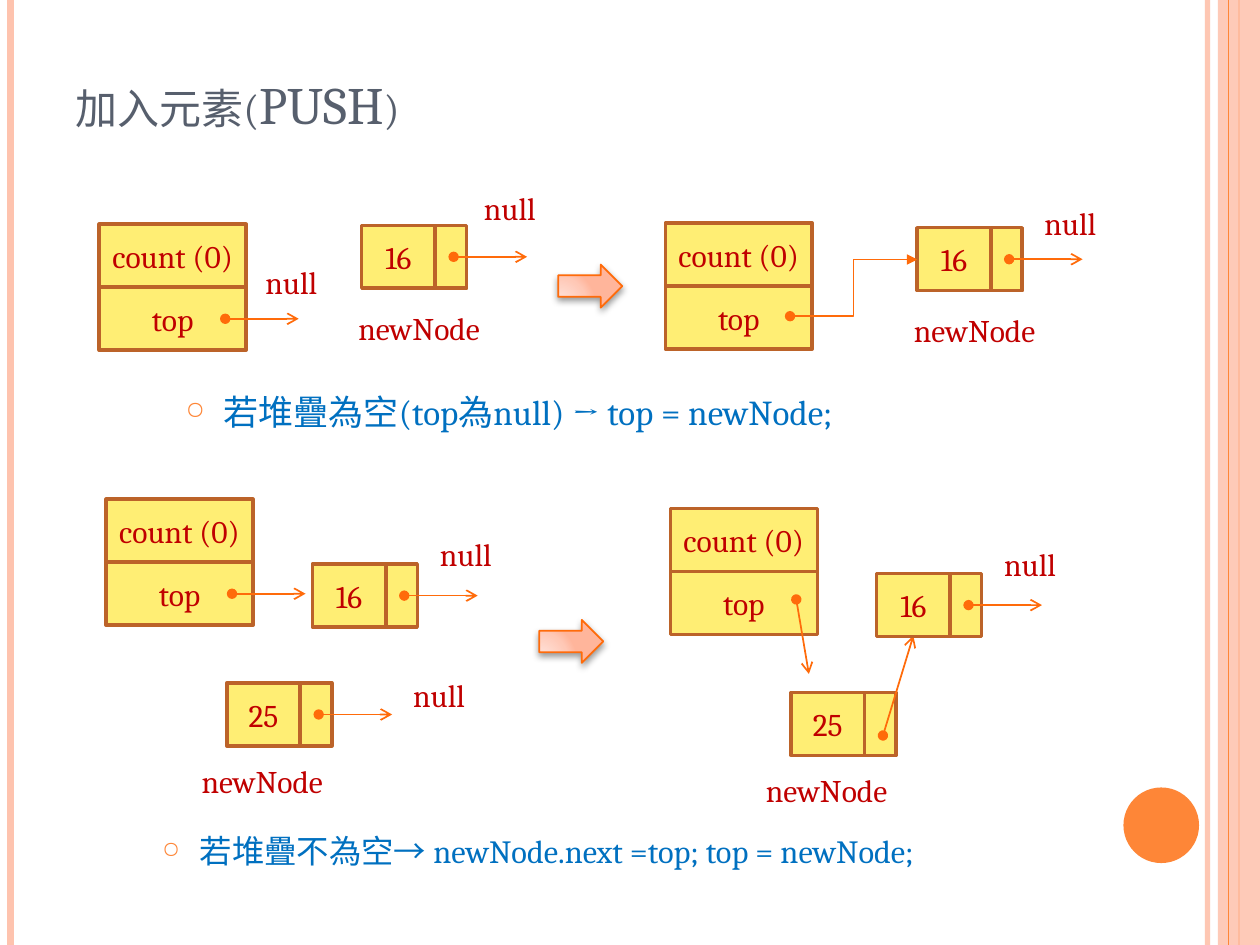
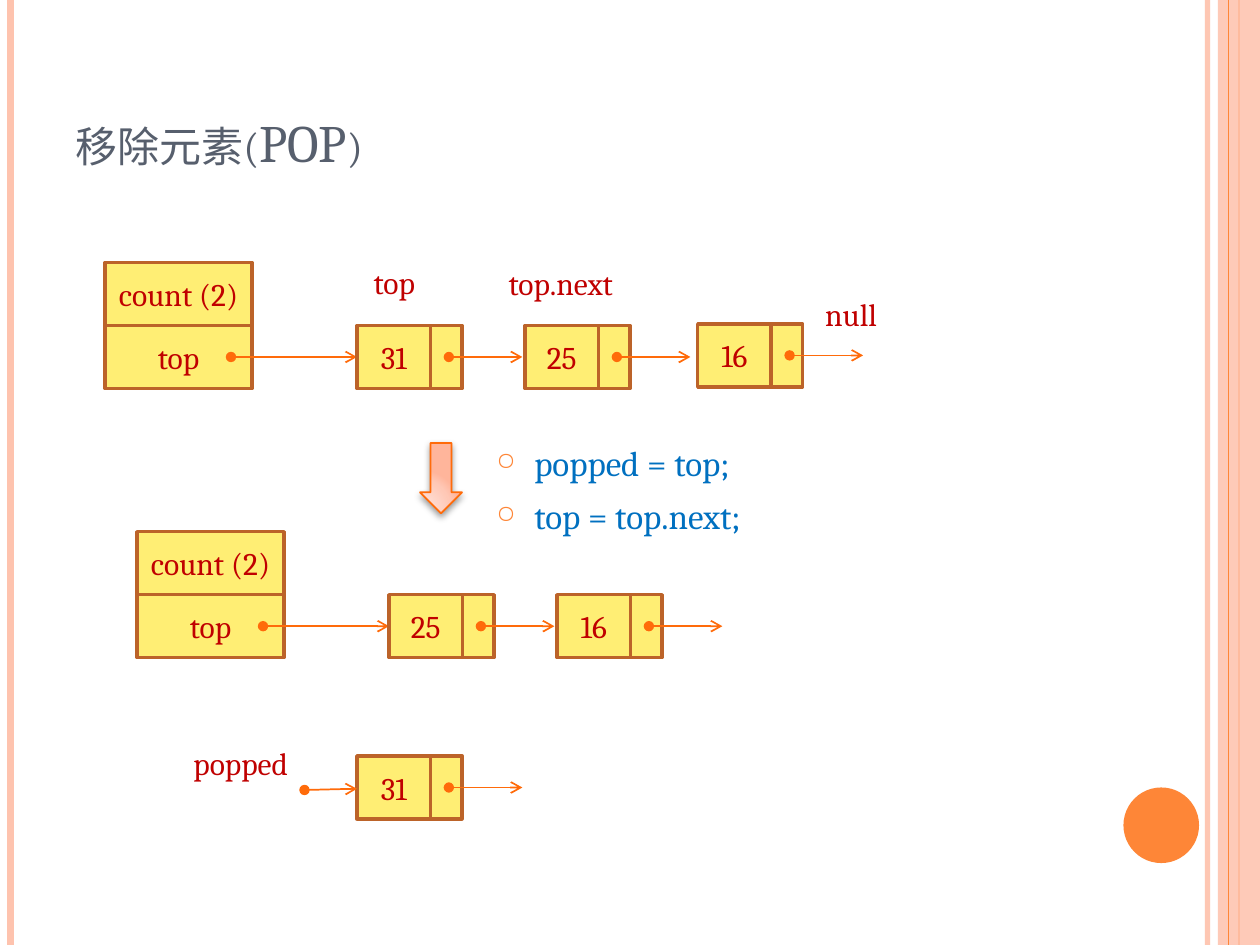
import pptx
import pptx.util
import pptx.oxml
import pptx.oxml.ns
import pptx.dml.color
import pptx.enum.shapes
import pptx.enum.text
from dataclasses import dataclass

SHAPE = pptx.enum.shapes.MSO_SHAPE
LINK = pptx.enum.shapes.MSO_CONNECTOR
ALIGN = pptx.enum.text.PP_ALIGN
ANCHOR = pptx.enum.text.MSO_ANCHOR
FIT = pptx.enum.text.MSO_AUTO_SIZE
COLS, ROWS = 120, 90
CELL = 914400 // 12


@dataclass(frozen=True)
class Theme:
    """Hold the colours, font and type sizes of the deck."""
    font: str = "Cambria"
    title: str = "575F6D"
    code: str = "0070C0"
    label: str = "C00000"
    band: str = "FEC3AE"
    accent: str = "FE8637"
    box: str = "FFEE74"
    edge: str = "BC6329"
    wire: str = "FF6B0A"
    glow: tuple = ((0, "FFDED5"), (30, "FFDBD0"), (75, "FFC8B6"), (100, "FFB59B"))
    head: float = 30
    body: float = 20
    small: float = 18.5
    tag: float = 18


T = Theme()


def cell(n):
    """Turn grid cells into a length."""
    return pptx.util.Emu(round(n * CELL))


def move(at, dx, dy):
    """Shift a grid point."""
    return at[0] + dx, at[1] + dy


def rgb(tint):
    """Make a colour from its hex code."""
    return pptx.dml.color.RGBColor.from_string(tint)


def style(obj, **vals):
    """Set each attribute on an object."""
    for key, val in vals.items():
        setattr(obj, key, val)


def node_xml(text):
    """Build a DrawingML element from its markup."""
    tag, mark = text[1:].split(maxsplit=1) if " " in text.split(">")[0] else (text[1:].split(">")[0], "")
    lead = f"<{tag} {pptx.oxml.ns.nsdecls('a')} "
    return pptx.oxml.parse_xml(lead + (mark or text[1 + len(tag):]))


def fade(fill, pct):
    """Make a solid fill partly clear."""
    tint = fill._xPr.find(".//" + pptx.oxml.ns.qn("a:srgbClr"))
    tint.append(node_xml(f'<a:alpha val="{pct * 1000}"/>'))


def write(shape, lines, tint, size, **frame):
    """Fill a text frame and return its paragraphs."""
    style(shape.text_frame, **{"word_wrap": True, **frame})
    shape.text_frame.text = "\n".join(lines)
    for para in shape.text_frame.paragraphs:
        for run in para.runs:
            style(run.font, name=T.font, size=pptx.util.Pt(size))
            run.font.color.rgb = rgb(tint)
    return shape.text_frame.paragraphs


def block(slide, at, size, fill, edge=None, width=2, kind=SHAPE.RECTANGLE):
    """Draw a flat shape on the grid."""
    shape = slide.shapes.add_shape(kind, *map(cell, (*at, *size)))
    shape.shadow.inherit = False
    shape.fill.solid()
    shape.fill.fore_color.rgb = rgb(fill)
    if edge:
        shape.line.color.rgb = rgb(edge)
        shape.line.width = pptx.util.Pt(width)
    else:
        shape.line.fill.background()
    return shape


def wire(slide, start, end, tint=T.wire, width=1, kind=LINK.STRAIGHT, tail=None):
    """Draw a line, with a dot and a head when a tail is named."""
    line = slide.shapes.add_connector(kind, *map(cell, (*start, *end)))
    line.line.color.rgb = rgb(tint)
    line.line.width = pptx.util.Pt(width)
    if tail:
        for tag, form in (("headEnd", "oval"), ("tailEnd", tail)):
            line.line._ln.append(node_xml(f'<a:{tag} type="{form}"/>'))
    line._element.spPr.append(node_xml("<a:effectLst/>".replace("/>", " />")))
    return line


def link(slide, at, span):
    """Draw a pointer from a point along a span."""
    wire(slide, at, move(at, *span), tail="arrow")


def cellbox(slide, at, width, text="", pad=1.2):
    """Draw one memory cell."""
    shape = block(slide, at, (width, 6), T.box, T.edge)
    if text:
        paras = write(shape, [text], T.label, T.tag, vertical_anchor=ANCHOR.MIDDLE,
                      margin_left=cell(pad), margin_right=cell(pad))
        paras[0].alignment = ALIGN.CENTER


def stack(slide, at, count, span=(7, 0), drop=9):
    """Draw the stack header and its top pointer."""
    cellbox(slide, at, 14, f"count ({count})", 0.5)
    cellbox(slide, move(at, 0, 6), 14, "top")
    if span:
        link(slide, move(at, 12, drop), span)


def node(slide, at, value, span=(7, 0), drop=3):
    """Draw a list node and its next pointer."""
    cellbox(slide, at, 7, value)
    cellbox(slide, move(at, 7, 0), 3)
    link(slide, move(at, 8.75, drop), span)


def label(slide, at, text, width=10):
    """Write a short name beside a part."""
    shape = slide.shapes.add_textbox(*map(cell, (*at, width, 4.8)))
    write(shape, [text], T.label, T.tag, auto_size=FIT.SHAPE_TO_FIT_TEXT)


def steps(slide, at, size, lines, type_size=T.body):
    """Write code steps with ring bullets."""
    shape = slide.shapes.add_textbox(*map(cell, (*at, *size)))
    for para in write(shape, lines, T.code, type_size):
        para.space_before = pptx.util.Pt(6)
        props = para._p.get_or_add_pPr()
        props.set("marL", str(cell(3.6)))
        props.set("indent", str(-cell(3.6)))
        for mark in (f'<a:buClr ><a:srgbClr val="{T.accent}"/></a:buClr>',
                     '<a:buSzPct val="70000"/>', '<a:buChar char="○"/>'):
            props.append(node_xml(mark))


def pointer(slide, at, size, kind=SHAPE.RIGHT_ARROW):
    """Draw a glowing block arrow."""
    shape = block(slide, at, size, T.band, T.wire, 1, kind)
    stops = "".join(f'<a:gs pos="{pos * 1000}"><a:srgbClr val="{tint}"/></a:gs>'
                    for pos, tint in T.glow)
    props = shape._element.spPr
    props.replace(props.find(pptx.oxml.ns.qn("a:solidFill")), node_xml(
        f'<a:gradFill rotWithShape="1"><a:gsLst>{stops}</a:gsLst><a:path path="circle">'
        '<a:fillToRect l="5000" t="100000" r="120000" b="10000"/></a:path></a:gradFill>'))
    props.find(pptx.oxml.ns.qn("a:effectLst")).append(node_xml(
        '<a:outerShdw blurRad="50800" dist="25400" dir="5400000" rotWithShape="0">'
        '<a:srgbClr val="000000"><a:alpha val="40000"/></a:srgbClr></a:outerShdw>'))


def page(deck, title, height):
    """Add a slide with its bands, disc and title."""
    slide = deck.slides.add_slide(deck.slide_layouts[6])
    for x, tint, width in ((115, T.band, 3), (1, T.band, 4.5), (118, T.accent, 1.5)):
        line = wire(slide, (x, 0), (x, ROWS), tint, width)
        if x == 115:
            fade(line.line.fill, 93)
    fade(block(slide, (116, 0), (4, ROWS), T.band).fill, 87)
    wire(slide, (117, 0), (117, ROWS), T.accent, 0.75)
    block(slide, (107, 75), (7.2, 7.2), T.accent, kind=SHAPE.OVAL)
    shape = slide.shapes.add_textbox(*map(cell, (6, 3.6, 98, height)))
    para = write(shape, [title], T.title, T.head, vertical_anchor=ANCHOR.BOTTOM)[0]
    para.runs[0].font._element.set("cap", "small")
    return slide


def fresh(slide, at, gap, null, span=(7, 0)):
    """Draw an empty stack beside a new node."""
    spot = move(at, *gap)
    stack(slide, at, 0, span)
    node(slide, spot, "16")
    label(slide, move(spot, -1.5, 7.35), "newNode", 17)
    label(slide, move(spot, *null), "null")


def filled(slide, at, top, fresh_link):
    """Draw a stack holding 16 with the new node 25 below."""
    stack(slide, at, 0, *top)
    node(slide, move(at, 11.5, 17.5), "25", *fresh_link)
    node(slide, move(at, 19.65, 6.18), "16")
    label(slide, move(at, 7.92, 24.42), "newNode", 17)
    label(slide, move(at, 30.6, 2.85), "null")


def chain(slide, at, values):
    """Draw a stack whose nodes follow at equal steps."""
    stack(slide, at, 2, (12, 0))
    for i, value in enumerate(values):
        node(slide, move(at, 24 + 16 * i, 6), value)


def push(deck):
    """Build the slide on adding an element."""
    slide = page(deck, "加入元素(PUSH)", 9.84)
    steps(slide, (16.5, 36.6), (81.7, 6.8), ["若堆疊為空(top為null) → top = newNode;"])
    fresh(slide, (9.45, 21.36), (25, 0.1), (10.44, -4.08))
    label(slide, (24.1, 24.45), "null")
    pointer(slide, (53.16, 25.2), (6.1, 4.1))
    fresh(slide, (63.36, 21.24), (24, 0.45), (10.92, -2.88), None)
    wire(slide, (75.24, 30.12), (87.36, 24.72), kind=LINK.ELBOW, tail="triangle")
    filled(slide, (10.1, 47.55), ((7, 0), 9), ((7, 0), 3))
    label(slide, (38.16, 63.84), "null")
    pointer(slide, (51.36, 59.04), (6.1, 4.1))
    filled(slide, (63.84, 48.45), ((1.2, 7.1), 8.64), ((2.9, -9.5), 4.1))
    steps(slide, (14.25, 78.6), (81.7, 6.8),
          ["若堆疊不為空→ newNode.next =top; top = newNode;"], T.small)


def pop(deck):
    """Build the slide on removing an element."""
    slide = page(deck, "移除元素(POP)", 13.44)
    chain(slide, (10, 25), ("31", "25"))
    node(slide, (66.45, 30.85), "16")
    for at, text, width in (((77.4, 27.48), "null", 12), ((34.4, 24.45), "top", 12),
                            ((47.25, 24.6), "top.next", 15.5), ((17.25, 70.3), "popped", 13.4)):
        label(slide, at, text, width)
    pointer(slide, (40, 42.2), (4, 6.7), SHAPE.DOWN_ARROW)
    steps(slide, (46.1, 41.5), (34, 11.8), ["popped = top;", "top = top.next;"])
    chain(slide, (13.05, 50.64), ("25", "16"))
    node(slide, (34, 72), "31")
    link(slide, (29, 75.24), (5, -0.12))


def main():
    """Build and save the deck."""
    deck = pptx.Presentation()
    style(deck, slide_width=cell(COLS), slide_height=cell(ROWS))
    push(deck)
    pop(deck)
    deck.save("out.pptx")


main()
